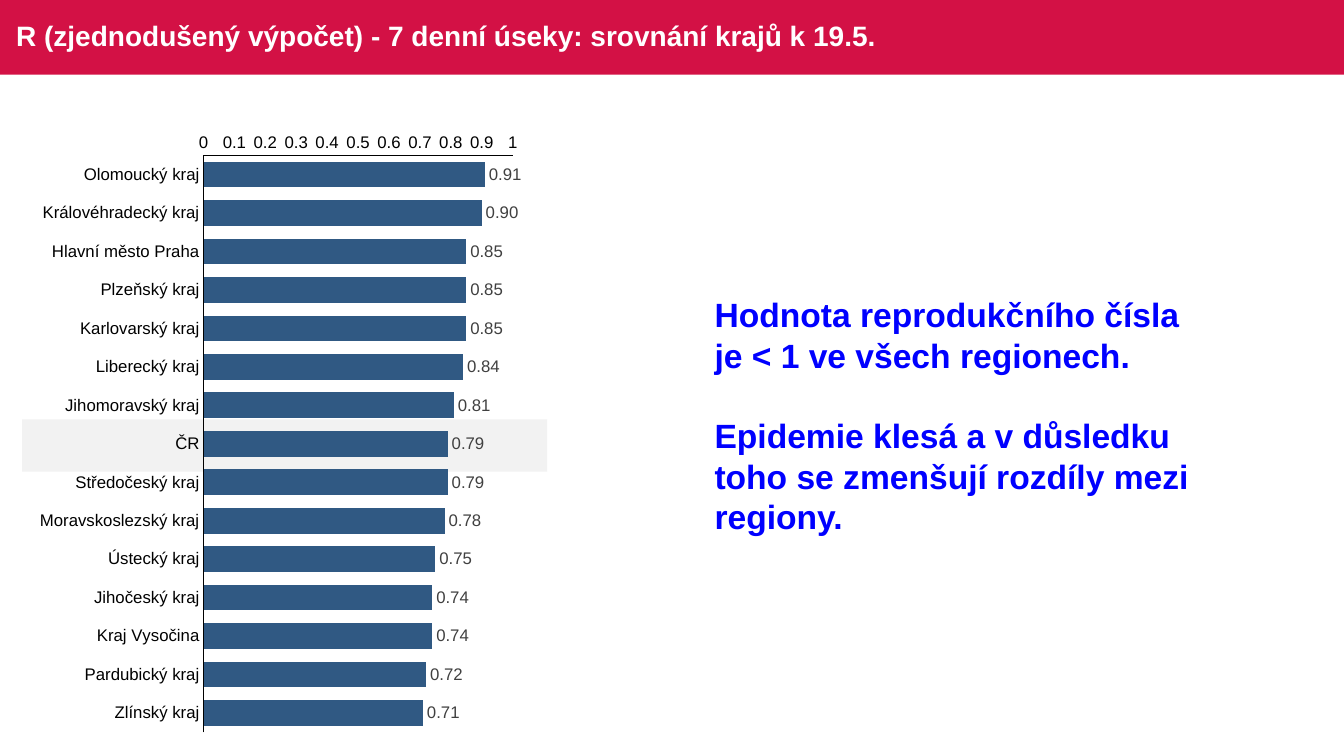
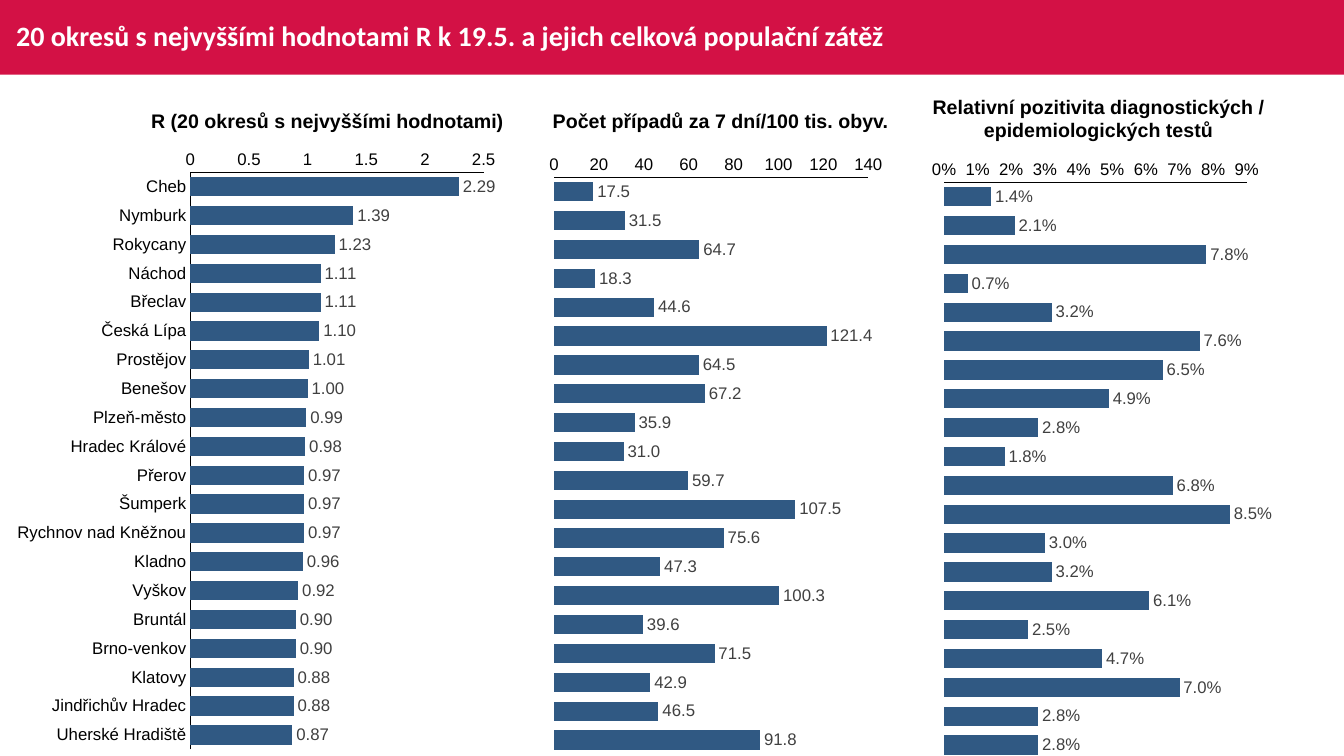
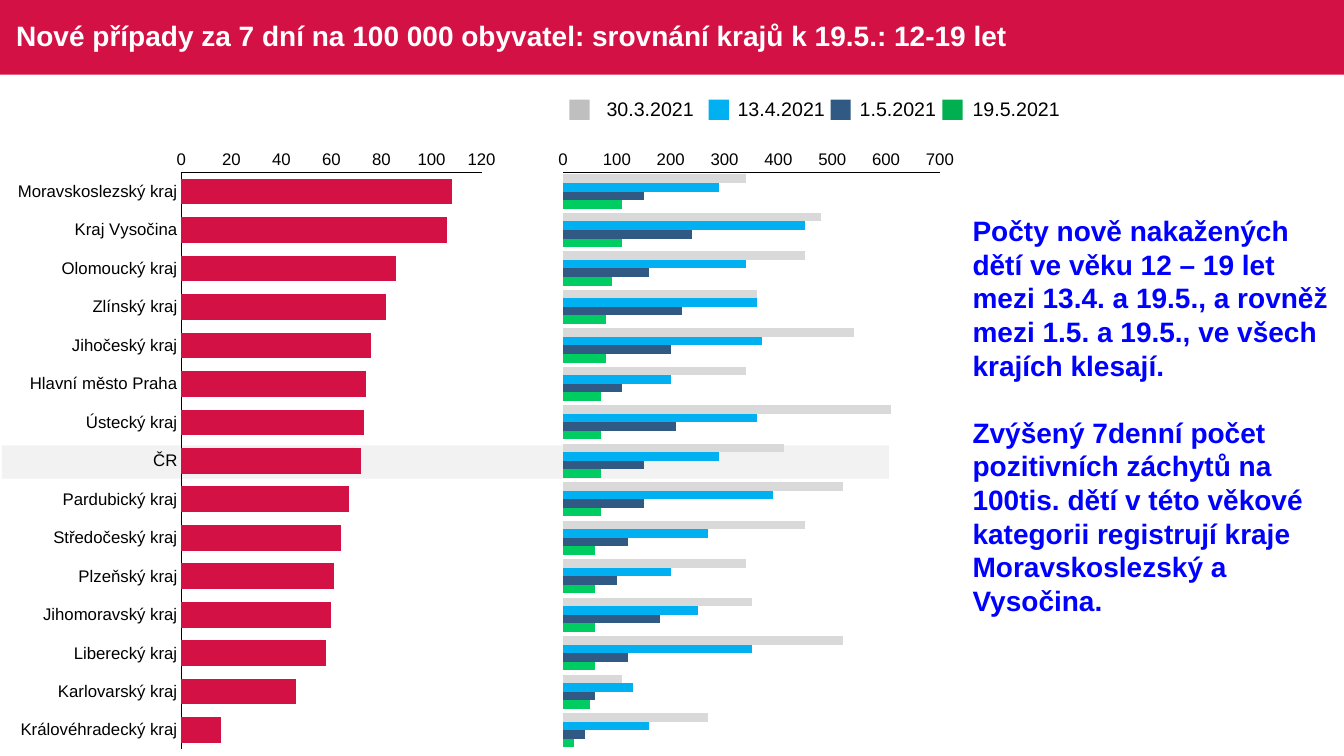
"""Build three slides comparing Czech regions and districts on 19 May."""
from dataclasses import dataclass

from pptx import Presentation, oxml
from pptx import util as u
from pptx.chart.data import CategoryChartData
from pptx.dml.color import RGBColor
from pptx.enum import chart as ch, shapes, text
from pptx.oxml import ns


@dataclass(frozen=True)
class Theme:
    red: str = "D31145"
    navy: str = "305983"
    sky: str = "00B0F0"
    pale: str = "D9D9D9"
    green: str = "00CD61"
    silver: str = "BFBFBF"
    leaf: str = "00B050"
    highlight: str = "F2F2F2"
    note: str = "0000FF"
    label: str = "404040"
    black: str = "000000"
    white: str = "FFFFFF"
    font: str = "Arial"
    title_font: str = "Calibri"
    title: int = 20
    heading: int = 14
    axis: int = 12
    large_note: int = 24
    small_note: int = 20


@dataclass(frozen=True)
class Bars:
    left: float
    top: float
    width: float
    plot_x: float
    plot_w: float
    maximum: float
    unit: float
    series: list
    colors: tuple
    cats: list | None = None
    labels: str = ""
    axis_format: str = "General"


@dataclass(frozen=True)
class LegendKey:
    name: str
    color: str
    box_left: float
    text_left: float
    text_width: float


T = Theme()
WIDTH, HEIGHT, BAND = 960, 540, 53.3
CHART_HEIGHT, PLOT_Y, PLOT_H = 445.7, 0.055, 0.925
LINE = 1.2

REGIONS_R = [
    "Olomoucký kraj", "Královéhradecký kraj", "Hlavní město Praha", "Plzeňský kraj",
    "Karlovarský kraj", "Liberecký kraj", "Jihomoravský kraj", "ČR", "Středočeský kraj",
    "Moravskoslezský kraj", "Ústecký kraj", "Jihočeský kraj", "Kraj Vysočina",
    "Pardubický kraj", "Zlínský kraj"]
REGIONS_CASES = [
    "Moravskoslezský kraj", "Kraj Vysočina", "Olomoucký kraj", "Zlínský kraj",
    "Jihočeský kraj", "Hlavní město Praha", "Ústecký kraj", "ČR", "Pardubický kraj",
    "Středočeský kraj", "Plzeňský kraj", "Jihomoravský kraj", "Liberecký kraj",
    "Karlovarský kraj", "Královéhradecký kraj"]
DISTRICTS = [
    "Cheb", "Nymburk", "Rokycany", "Náchod", "Břeclav", "Česká Lípa", "Prostějov",
    "Benešov", "Plzeň-město", "Hradec Králové", "Přerov", "Šumperk",
    "Rychnov nad Kněžnou", "Kladno", "Vyškov", "Bruntál", "Brno-venkov", "Klatovy",
    "Jindřichův Hradec", "Uherské Hradiště"]

REGION_R = Bars(
    21.6, 86.4, 355.7, 0.348, 0.621, 1, 0.1,
    [[0.91, 0.9, 0.85, 0.85, 0.85, 0.84, 0.81, 0.79, 0.79, 0.78, 0.75, 0.74, 0.74,
      0.72, 0.71]],
    (T.navy,), REGIONS_R, "#,##0.00")
DISTRICT_CHARTS = [
    Bars(5.8, 98.6, 355.7, 0.366, 0.589, 2.5, 0.5,
         [[2.29, 1.39, 1.23, 1.11, 1.11, 1.1, 1.01, 1, 0.99, 0.98, 0.97, 0.97, 0.97,
           0.96, 0.92, 0.9, 0.9, 0.88, 0.88, 0.87]],
         (T.navy,), DISTRICTS, "#,##0.00"),
    Bars(387.4, 102.2, 247.7, 0.034, 0.906, 140, 20,
         [[17.5, 31.5, 64.7, 18.3, 44.6, 121.4, 64.5, 67.2, 35.9, 31, 59.7, 107.5,
           75.6, 47.3, 100.3, 39.6, 71.5, 42.9, 46.5, 91.8]],
         (T.navy,), labels="#,##0.0"),
    Bars(661, 105.8, 247.7, 0.054, 0.877, 0.09, 0.01,
         [[0.014, 0.021, 0.078, 0.007, 0.032, 0.076, 0.065, 0.049, 0.028, 0.018,
           0.068, 0.085, 0.03, 0.032, 0.061, 0.025, 0.047, 0.07, 0.028, 0.028]],
         (T.navy,), labels="0.0%", axis_format="0%"),
]
CASE_CHARTS = [
    Bars(5.8, 98.6, 355.7, 0.348, 0.603, 120, 20,
         [[108, 106, 86, 82, 76, 74, 73, 72, 67, 64, 61, 60, 58, 46, 16]],
         (T.red,), REGIONS_CASES),
    Bars(393.1, 98.6, 294.5, 0.031, 0.914, 700, 100,
         [[340, 480, 450, 360, 540, 340, 610, 410, 520, 450, 340, 350, 520, 110, 270],
          [290, 450, 340, 360, 370, 200, 360, 290, 390, 270, 200, 250, 350, 130, 160],
          [150, 240, 160, 220, 200, 110, 210, 150, 150, 120, 100, 180, 120, 60, 40],
          [110, 110, 90, 80, 80, 70, 70, 70, 70, 60, 60, 60, 60, 50, 20]],
         (T.pale, T.sky, T.navy, T.green)),
]
LEGEND = [
    LegendKey("30.3.2021", T.silver, 406.8, 426.2, 77),
    LegendKey("13.4.2021", T.sky, 506.2, 519.8, 77),
    LegendKey("1.5.2021", T.navy, 593.3, 607, 69),
    LegendKey("19.5.2021", T.leaf, 673.2, 687.6, 77),
]


def rgb(color: str) -> RGBColor:
    """Turn a hex string into a colour."""
    return RGBColor.from_string(color)


def write(tf, paragraphs, *, size, color=T.black, font=T.font, bold=False,
          align=text.PP_ALIGN.LEFT, gap=0, line=None):
    """Fill a text frame with uniformly formatted paragraphs."""
    for i, content in enumerate(paragraphs):
        p = tf.paragraphs[0] if i == 0 else tf.add_paragraph()
        p.alignment = align
        if i:
            p.space_before = u.Pt(gap)
        if line:
            p.line_spacing = line
        r = p.add_run()
        r.text = content
        r.font.size, r.font.name, r.font.bold = u.Pt(size), font, bold
        r.font.color.rgb = rgb(color)


def add_text(s, left: float, top: float, width: float, height: float,
             paragraphs, *, wrap=True, **style):
    """Add a text box that grows with its text."""
    tf = s.shapes.add_textbox(*map(u.Pt, (left, top, width, height))).text_frame
    tf.word_wrap = wrap
    tf.auto_size = text.MSO_AUTO_SIZE.SHAPE_TO_FIT_TEXT
    write(tf, paragraphs, **style)


def add_rect(s, left: float, top: float, width: float, height: float, color: str):
    """Add a plain filled rectangle."""
    sp = s.shapes.add_shape(shapes.MSO_SHAPE.RECTANGLE,
                            *map(u.Pt, (left, top, width, height)))
    sp.shadow.inherit = False
    sp.fill.solid()
    sp.fill.fore_color.rgb = rgb(color)
    sp.line.fill.background()
    return sp


def add_slide(prs, title: str, font: str = T.font):
    """Add a slide with its title set over the band."""
    s = prs.slides.add_slide(prs.slide_layouts[5])
    sp = s.shapes.title
    sp.left, sp.top, sp.width, sp.height = map(u.Pt, (4.3, 0, 864.7, BAND))
    tf = sp.text_frame
    tf.word_wrap = True
    tf.auto_size = text.MSO_AUTO_SIZE.NONE
    tf.vertical_anchor = text.MSO_ANCHOR.MIDDLE
    write(tf, [title], size=T.title, color=T.white, font=font, bold=True, line=0.9)
    return s


def format_axis(axis):
    """Give an axis its thin black line and plain labels."""
    axis.has_major_gridlines = False
    axis.major_tick_mark = axis.minor_tick_mark = ch.XL_TICK_MARK.NONE
    axis.format.line.color.rgb = rgb(T.black)
    axis.format.line.width = u.Pt(0.75)
    axis.tick_labels.font.size = u.Pt(T.axis)
    axis.tick_labels.font.name = T.font
    axis.tick_labels.font.color.rgb = rgb(T.black)


def place_plot(chart, bars: Bars):
    """Fix the inner plot area and clear the chart background."""
    space = chart.element.find(ns.qn("c:chart"))
    area = space.find(ns.qn("c:plotArea"))
    for old in area.findall(ns.qn("c:layout")):
        area.remove(old)
    sizes = {"x": bars.plot_x, "y": PLOT_Y, "w": bars.plot_w, "h": PLOT_H}
    modes = '<c:layoutTarget val="inner"/><c:xMode val="edge"/><c:yMode val="edge"/>'
    values = "".join(f'<c:{key} val="{value}"/>' for key, value in sizes.items())
    area.insert(0, oxml.parse_xml(
        f'<c:layout {ns.nsdecls("c")}><c:manualLayout>{modes}{values}'
        '</c:manualLayout></c:layout>'))
    space.addnext(oxml.parse_xml(
        f'<c:spPr {ns.nsdecls("c", "a")}><a:noFill/><a:ln><a:noFill/></a:ln></c:spPr>'))


def add_bars(s, bars: Bars):
    """Add a horizontal bar chart read from top to bottom."""
    data = CategoryChartData()
    data.categories = bars.cats or [str(i + 1) for i in range(len(bars.series[0]))]
    for i, values in enumerate(bars.series, 1):
        data.add_series(f"Series {i}", values)
    frame = (bars.left, bars.top, bars.width, CHART_HEIGHT)
    chart = s.shapes.add_chart(ch.XL_CHART_TYPE.BAR_CLUSTERED,
                               *map(u.Pt, frame), data).chart
    chart.has_legend = chart.has_title = False
    chart.font.size, chart.font.name = u.Pt(10), T.font
    chart.font.color.rgb = rgb(T.black)
    place_plot(chart, bars)

    cat, val = chart.category_axis, chart.value_axis
    format_axis(cat)
    cat.reverse_order = True
    cat.visible = bars.cats is not None
    format_axis(val)
    val.minimum_scale, val.maximum_scale = 0, bars.maximum
    val.major_unit = bars.unit
    val.tick_labels.number_format = bars.axis_format
    val.tick_labels.number_format_is_linked = False

    plot = chart.plots[0]
    plot.gap_width, plot.overlap, plot.vary_by_categories = 50, 0, False
    for series, color in zip(plot.series, bars.colors):
        series.invert_if_negative = False
        series.format.fill.solid()
        series.format.fill.fore_color.rgb = rgb(color)
    if bars.labels:
        plot.has_data_labels = True
        labels = plot.data_labels
        labels.show_value = True
        labels.number_format = bars.labels
        labels.number_format_is_linked = False
        labels.position = ch.XL_LABEL_POSITION.OUTSIDE_END
        labels.font.size, labels.font.name = u.Pt(T.axis), T.font
        labels.font.color.rgb = rgb(T.label)


def add_note(s, left: float, top: float, width: float, height: float,
             size: int, paragraphs):
    """Add a bold blue comment with a line between paragraphs."""
    add_text(s, left, top, width, height, paragraphs, size=size, color=T.note,
             bold=True, gap=size * LINE)


def add_heading(s, left: float, top: float, width: float, height: float,
                content: str, wrap: bool = False):
    """Add a centred chart heading."""
    add_text(s, left, top, width, height, [content], wrap=wrap, size=T.heading,
             bold=True, align=text.PP_ALIGN.CENTER)


def build_regions(prs):
    """Build the comparison of R by region."""
    s = add_slide(prs, "R (zjednodušený výpočet) - 7 denní úseky: srovnání krajů k 19.5.")
    add_rect(s, 15.8, 299.5, 375.1, 37.4, T.highlight)
    add_bars(s, REGION_R)
    add_note(s, 503.3, 206.6, 366.5, 181.4, T.large_note, [
        "Hodnota reprodukčního čísla je < 1 ve všech regionech.",
        "Epidemie klesá a v důsledku toho se zmenšují rozdíly mezi regiony."])
    return s


def build_districts(prs):
    """Build the ranking of the twenty districts."""
    s = add_slide(prs, "20 okresů s nejvyššími hodnotami R k 19.5. a jejich celková "
                       "populační zátěž", T.title_font)
    for bars in DISTRICT_CHARTS:
        add_bars(s, bars)
    add_heading(s, 98.6, 74.2, 270.7, 24.5, "R (20 okresů s nejvyššími hodnotami)")
    add_heading(s, 387.4, 74.2, 254.9, 24.5, "Počet případů za 7 dní/100 tis. obyv.")
    add_heading(s, 649.4, 64.1, 270.7, 41,
                "Relativní pozitivita diagnostických / epidemiologických testů", True)


def build_cases(prs):
    """Build the comparison of new cases at ages 12 to 19."""
    s = add_slide(prs, "Nové případy za 7 dní na 100 000 obyvatel: srovnání krajů "
                       "k 19.5.: 12-19 let")
    add_rect(s, 1.4, 318.2, 633.6, 23.8, T.highlight)
    for bars in CASE_CHARTS:
        add_bars(s, bars)
    add_note(s, 687.6, 149, 270, 346.3, T.small_note, [
        "Počty nově nakažených dětí ve věku 12 – 19 let mezi 13.4. a 19.5., a rovněž "
        "mezi 1.5. a 19.5., ve všech krajích klesají.",
        "Zvýšený 7denní počet pozitivních záchytů na 100tis. dětí v této věkové "
        "kategorii registrují kraje Moravskoslezský a Vysočina."])
    for key in LEGEND:
        add_rect(s, key.box_left, 71.2, 14.4, 14.4, key.color)
        add_text(s, key.text_left, 66, key.text_width, 24.5, [key.name],
                 wrap=False, size=T.heading)


def main():
    """Build and save the presentation."""
    prs = Presentation()
    prs.slide_width, prs.slide_height = u.Pt(WIDTH), u.Pt(HEIGHT)
    s = build_regions(prs)
    band = add_rect(s, 0, 0, WIDTH, BAND, T.red)
    s.slide_layout.shapes.element.insert(2, band.element)
    build_districts(prs)
    build_cases(prs)
    prs.save("out.pptx")


if __name__ == "__main__":
    main()
